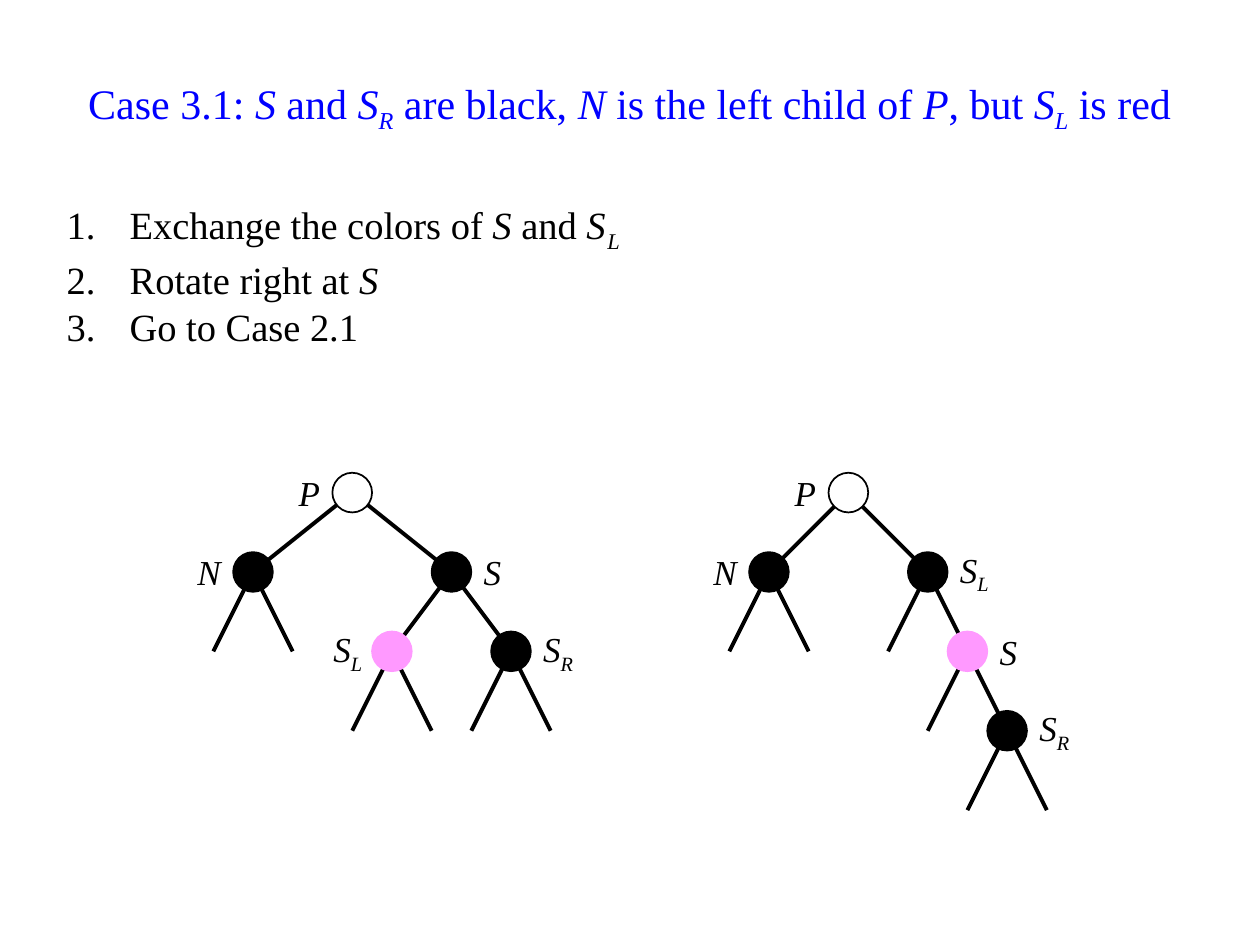
from dataclasses import dataclass
from typing import Optional

from lxml.etree import SubElement
from pptx import Presentation
from pptx.dml.color import RGBColor as RGB
from pptx.enum.shapes import MSO_CONNECTOR as CONNECTOR, MSO_SHAPE as SHAPE
from pptx.enum.text import MSO_ANCHOR as ANCHOR, PP_ALIGN as ALIGN
from pptx.oxml.ns import qn
from pptx.util import Pt


@dataclass(frozen=True)
class Theme:
    font: str = "Times New Roman"
    title_size: float = 24
    step_size: float = 22
    label_size: float = 20
    edge_width: float = 2.25
    outline_width: float = 1
    unit: float = 22.68
    blue: RGB = RGB(0x00, 0x00, 0xFF)
    black: RGB = RGB(0x00, 0x00, 0x00)
    white: RGB = RGB(0xFF, 0xFF, 0xFF)
    pink: RGB = RGB(0xFF, 0x99, 0xFF)


THEME = Theme()


@dataclass(frozen=True)
class Node:
    label: tuple
    fill: RGB
    column: float
    label_left: bool = False
    outline: Optional[RGB] = None
    children: tuple = (None, None)


PLAIN, ITALIC, SUB = "plain", "italic", "sub"
P, N, S, L, R = [(name, style) for name, style in
                 zip("PNSLR", (ITALIC, ITALIC, ITALIC, SUB, SUB))]

TITLE = [("Case 3.1: ", PLAIN), S, (" and", PLAIN), (" S", ITALIC), R,
         (" are black, ", PLAIN), N, (" is the left child of ", PLAIN), P,
         (", but ", PLAIN), S, L, (" is red", PLAIN)]
STEPS = [
    [("Exchange the colors of ", PLAIN), ("S ", ITALIC), ("and ", PLAIN), S, L],
    [("Rotate right at ", PLAIN), S],
    [("Go to Case 2.1", PLAIN)],
]

LEFT_CHILD = {"label": (N,), "fill": THEME.black, "label_left": True}
ROOT = {"label": (P,), "fill": THEME.white, "outline": THEME.black,
        "column": 0, "label_left": True}

BEFORE = Node(**ROOT, children=(
    Node(**LEFT_CHILD, column=-2.5),
    Node((S,), THEME.black, 2.5, children=(
        Node((S, L), THEME.pink, 1, label_left=True),
        Node((S, R), THEME.black, 4))),
))
AFTER = Node(**ROOT, children=(
    Node(**LEFT_CHILD, column=-2),
    Node((S, L), THEME.black, 2, children=(
        None,
        Node((S,), THEME.pink, 3, children=(
            None,
            Node((S, R), THEME.black, 4))))),
))


def add_runs(paragraph, pieces, size, color):
    for text, style in pieces:
        run = paragraph.add_run()
        run.text = text
        run.font.name = THEME.font
        run.font.size = Pt(size)
        run.font.color.rgb = color
        run.font.italic = style != PLAIN
        if style == SUB:
            run.font._element.set("baseline", "-25000")


def add_text_frame(slide, left, top, width, height, anchor):
    frame = slide.shapes.add_textbox(
        Pt(left), Pt(top), Pt(width), Pt(height)).text_frame
    frame.word_wrap = True
    frame.vertical_anchor = anchor
    return frame


def add_title(slide, left, top, width, height):
    frame = add_text_frame(slide, left, top, width, height, ANCHOR.MIDDLE)
    heading = frame.paragraphs[0]
    heading.alignment = ALIGN.CENTER
    add_runs(heading, TITLE, THEME.title_size, THEME.blue)


def add_steps(slide, left, top, width, height):
    frame = add_text_frame(slide, left, top, width, height, ANCHOR.TOP)
    for index, pieces in enumerate(STEPS):
        step = frame.paragraphs[0] if index == 0 else frame.add_paragraph()
        step.space_before = Pt(1)
        properties = step._p.get_or_add_pPr()
        properties.set("marL", str(Pt(36)))
        properties.set("indent", str(Pt(-36)))
        SubElement(properties, qn("a:buAutoNum"), type="arabicPeriod")
        add_runs(step, pieces, THEME.step_size, THEME.black)
    frame.paragraphs[0].runs[3].font._element.set("spc", "100")


def add_edge(slide, start, end):
    edge = slide.shapes.add_connector(
        CONNECTOR.STRAIGHT, *[Pt(value) for value in (*start, *end)])
    edge.line.color.rgb = THEME.black
    edge.line.width = Pt(THEME.edge_width)
    SubElement(edge._element.spPr, qn("a:effectLst"))


def add_node(slide, node, x, y):
    unit = THEME.unit
    disc = slide.shapes.add_shape(
        SHAPE.OVAL, Pt(x - unit / 2), Pt(y - unit / 2), Pt(unit), Pt(unit))
    disc.shadow.inherit = False
    disc.fill.solid()
    disc.fill.fore_color.rgb = node.fill
    disc.line.color.rgb = node.outline or node.fill
    disc.line.width = Pt(THEME.outline_width)

    label_x = x - 2 * unit if node.label_left else x + unit / 2
    frame = add_text_frame(
        slide, label_x, y - unit, 1.5 * unit, 2 * unit, ANCHOR.MIDDLE)
    if len(node.label) > 1:
        frame.margin_right = Pt(5.67)
    label = frame.paragraphs[0]
    label.alignment = ALIGN.RIGHT if node.label_left else ALIGN.LEFT
    add_runs(label, node.label, THEME.label_size, THEME.black)


def add_tree(slide, node, root_x, y):
    x = root_x + node.column * THEME.unit
    child_y = y + 2 * THEME.unit
    for side, child in zip((-1, 1), node.children):
        column = child.column if child else node.column + side
        add_edge(slide, (x, y), (root_x + column * THEME.unit, child_y))
        if child:
            add_tree(slide, child, root_x, child_y)
    add_node(slide, node, x, y)


def main():
    deck = Presentation()
    deck.slide_width, deck.slide_height = Pt(720), Pt(540)
    slide = deck.slides.add_slide(deck.slide_layouts[6])
    add_title(slide, 31, 21, 657.5, 79)
    add_steps(slide, 31, 111.5, 657.5, 91)
    for tree, root_x in ((BEFORE, 201.3), (AFTER, 484.8)):
        add_tree(slide, tree, root_x, 281.5)
    deck.save("out.pptx")


if __name__ == "__main__":
    main()
